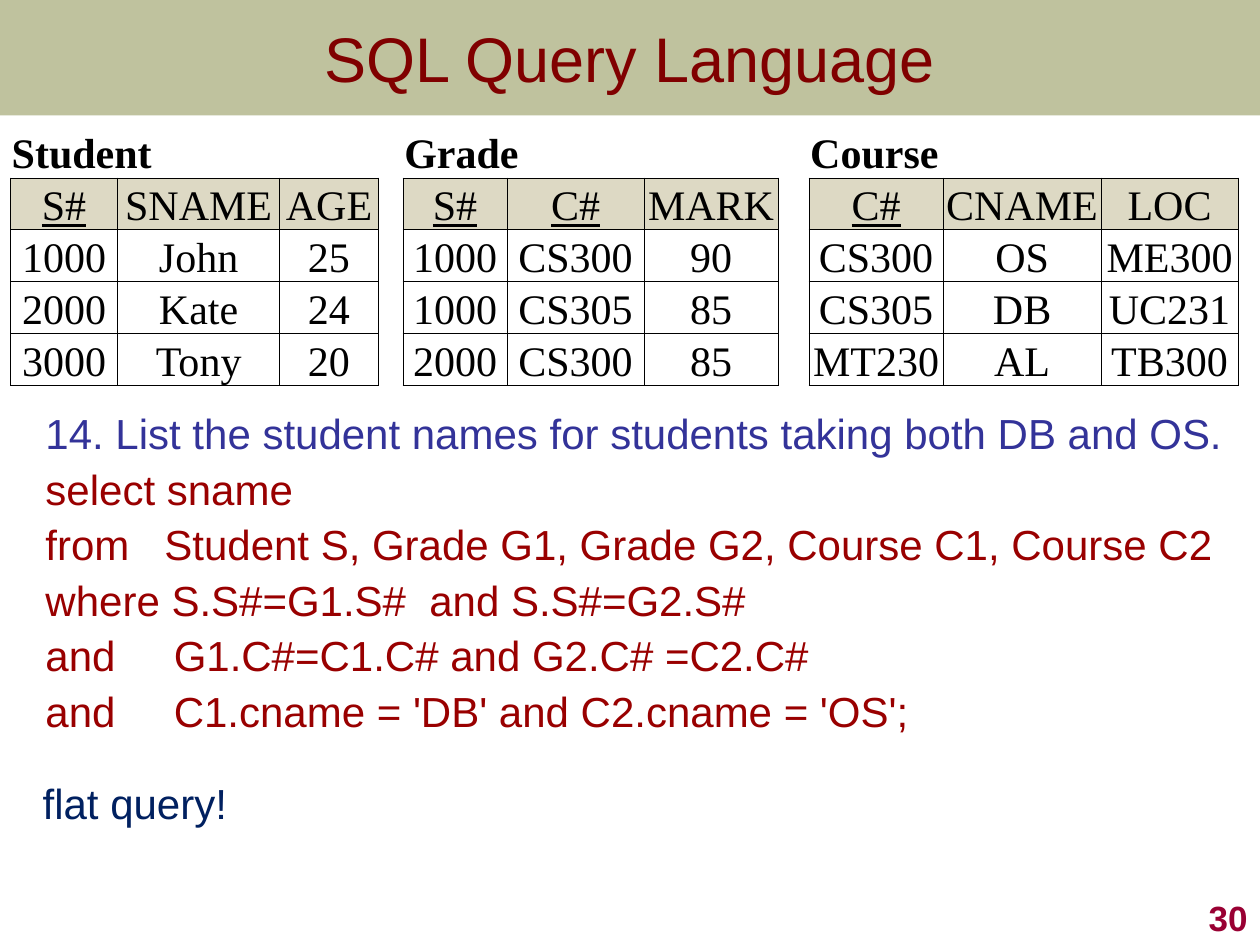
from dataclasses import dataclass

from lxml.etree import SubElement
from pptx import Presentation
from pptx.dml.color import RGBColor
from pptx.enum.text import MSO_ANCHOR as Anchor, PP_ALIGN as Align
from pptx.oxml.ns import qn
from pptx.slide import Slide
from pptx.util import Pt

OLIVE = RGBColor(0x6E, 0x75, 0x24)
MAROON = RGBColor(0x80, 0x00, 0x00)
INDIGO = RGBColor(0x33, 0x33, 0x99)
RED = RGBColor(0x99, 0x00, 0x00)
CRIMSON = RGBColor(0x99, 0x00, 0x33)
NAVY = RGBColor(0x00, 0x20, 0x60)
BLACK = RGBColor(0x00, 0x00, 0x00)
WHITE = RGBColor(0xFF, 0xFF, 0xFF)
SAND = RGBColor(0xDD, 0xD9, 0xC4)

RELATIONS = [
    ("Student", ["S#", "SNAME", "AGE"], ["S#"], [61.2, 92.6, 56.4],
     [["1000", "John", "25"], ["2000", "Kate", "24"], ["3000", "Tony", "20"]]),
    ("Grade", ["S#", "C#", "MARK"], ["S#", "C#"], [59.4, 78.3, 76.6],
     [["1000", "CS300", "90"], ["1000", "CS305", "85"], ["2000", "CS300", "85"]]),
    ("Course", ["C#", "CNAME", "LOC"], ["C#"], [76.6, 90.3, 78.3],
     [["CS300", "OS", "ME300"], ["CS305", "DB", "UC231"], ["MT230", "AL", "TB300"]]),
]
GAPS = [14.2, 17.7]

QUESTION = "14. List the student names for students taking both DB and OS."
QUERY = [
    "select sname",
    "from   Student S, Grade G1, Grade G2, Course C1, Course C2",
    "where S.S#=G1.S#  and S.S#=G2.S#",
    "and     G1.C#=C1.C# and G2.C# =C2.C#",
    "and     C1.cname = 'DB' and C2.cname = 'OS';",
]


def assign(target, values):
    for name, value in values.items():
        setattr(target, name, value)


@dataclass
class Deck:
    slide: Slide
    sans: str = "Arial"
    serif: str = "Times New Roman"
    size: float = 24
    row_height: float = 29.7
    border: float = 0.5

    def wording(self, paragraph, text, color, font=None, size=None, **values):
        run = paragraph.add_run()
        run.text = text
        assign(run.font, {"name": font or self.sans,
                          "size": Pt(size or self.size), **values})
        run.font.color.rgb = color

    def title(self, text, width, height):
        banner = self.slide.shapes.title
        assign(banner, {"left": 0, "top": 0, "width": Pt(width), "height": Pt(height)})
        banner.fill.solid()
        banner.fill.fore_color.rgb = OLIVE
        color = banner.element.spPr.find(qn("a:solidFill"))[0]
        SubElement(color, qn("a:alpha"), val="44000")
        assign(banner.text_frame, {"vertical_anchor": Anchor.MIDDLE, "word_wrap": True})
        paragraph = banner.text_frame.paragraphs[0]
        paragraph.alignment = Align.CENTER
        self.wording(paragraph, text, MAROON, size=36)

    def text(self, lines, box, frame=None, paragraph_format=None, gap=0, hanging=0, **font):
        shape = self.slide.shapes.add_textbox(*map(Pt, box))
        body = shape.text_frame
        assign(body, {"word_wrap": True, **(frame or {})})
        for index, (line, color) in enumerate(lines):
            paragraph = body.add_paragraph() if index else body.paragraphs[0]
            assign(paragraph, paragraph_format or {})
            if index and gap:
                paragraph.space_before = Pt(gap)
            if hanging:
                properties = paragraph._p.get_or_add_pPr()
                properties.set("marL", str(Pt(hanging)))
                properties.set("indent", str(-Pt(hanging)))
            self.wording(paragraph, line, color, **font)

    def cell(self, cell, sides, fill=WHITE):
        assign(cell, {"vertical_anchor": Anchor.BOTTOM, "margin_left": Pt(0.7),
                      "margin_right": Pt(0.7), "margin_top": Pt(0.7), "margin_bottom": 0})
        properties = cell._tc.get_or_add_tcPr()
        for side in "LRTB":
            line = SubElement(properties, qn(f"a:ln{side}"), w=str(Pt(self.border)))
            if side in sides:
                color = SubElement(line, qn("a:solidFill"))
                SubElement(color, qn("a:srgbClr"), val=str(BLACK))
            else:
                SubElement(line, qn("a:noFill"))
        cell.fill.solid()
        cell.fill.fore_color.rgb = fill

    def entry(self, cell, text, **values):
        paragraph = cell.text_frame.paragraphs[0]
        paragraph.alignment = Align.CENTER
        self.wording(paragraph, text, BLACK, self.serif, **values)

    def relation(self, table, start, name, fields, keys, records):
        for offset in range(len(fields)):
            self.cell(table.cell(0, start + offset), "B")
        heading = table.cell(0, start)
        heading.merge(table.cell(0, start + len(fields) - 1))
        self.wording(heading.text_frame.paragraphs[0], name, BLACK, self.serif, bold=True)
        for row, values in enumerate([fields] + records, 1):
            for column, value in enumerate(values, start):
                cell = table.cell(row, column)
                self.cell(cell, "LRTB", SAND if row == 1 else WHITE)
                self.entry(cell, value, underline=row == 1 and value in keys)

    def relations(self, relations, gaps, left, top):
        widths = list(relations[0][3])
        for gap, relation in zip(gaps, relations[1:]):
            widths += [gap, *relation[3]]
        rows = 2 + len(relations[0][4])
        table = self.slide.shapes.add_table(
            rows, len(widths), Pt(left), Pt(top),
            Pt(sum(widths)), Pt(rows * self.row_height)).table
        assign(table, {"first_row": False, "horz_banding": False})
        for column, width in zip(table.columns, widths):
            column.width = Pt(width)
        for row in table.rows:
            row.height = Pt(self.row_height)
        start = 0
        for name, fields, keys, _, records in relations:
            if start:
                for row in range(rows):
                    self.cell(table.cell(row, start - 1), "LR" if row else "")
            self.relation(table, start, name, fields, keys, records)
            start += len(fields) + 1


def main():
    presentation = Presentation()
    assign(presentation, {"slide_width": Pt(720), "slide_height": Pt(540)})
    deck = Deck(presentation.slides.add_slide(presentation.slide_layouts[5]))
    deck.title("SQL Query Language", 720, 66)
    deck.relations(RELATIONS, GAPS, 6, 72)
    deck.text([(QUESTION, INDIGO)] + [(line, RED) for line in QUERY],
              (18.9, 232.6, 683.3, 307.4), {"margin_right": 0},
              {"line_spacing": 0.9}, gap=5.8, hanging=27)
    deck.text([("flat query!", NAVY)], (17.3, 444.2, 121, 33),
              {"word_wrap": False}, {"line_spacing": 0.9})
    deck.text([("30", CRIMSON)], (570, 504, 150, 36),
              {"vertical_anchor": Anchor.BOTTOM}, {"alignment": Align.RIGHT},
              size=20, bold=True)
    presentation.save("out.pptx")


if __name__ == "__main__":
    main()
